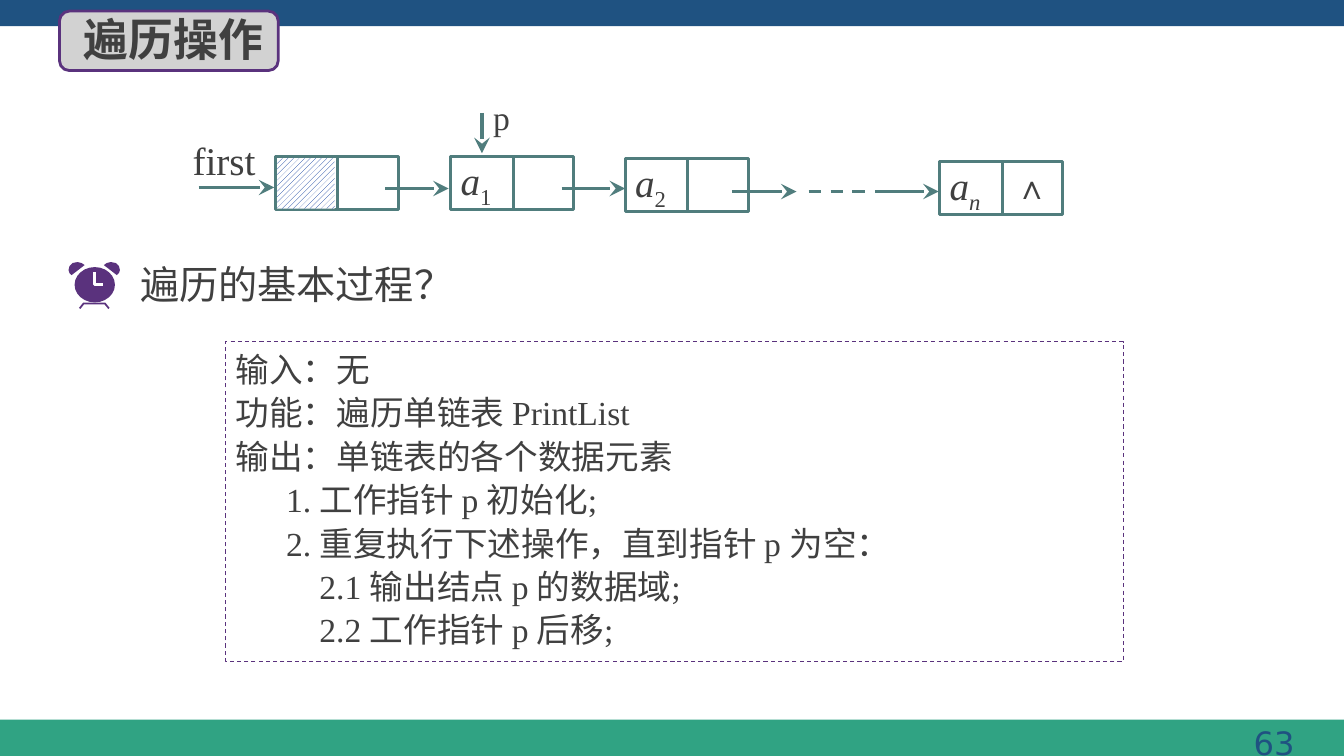
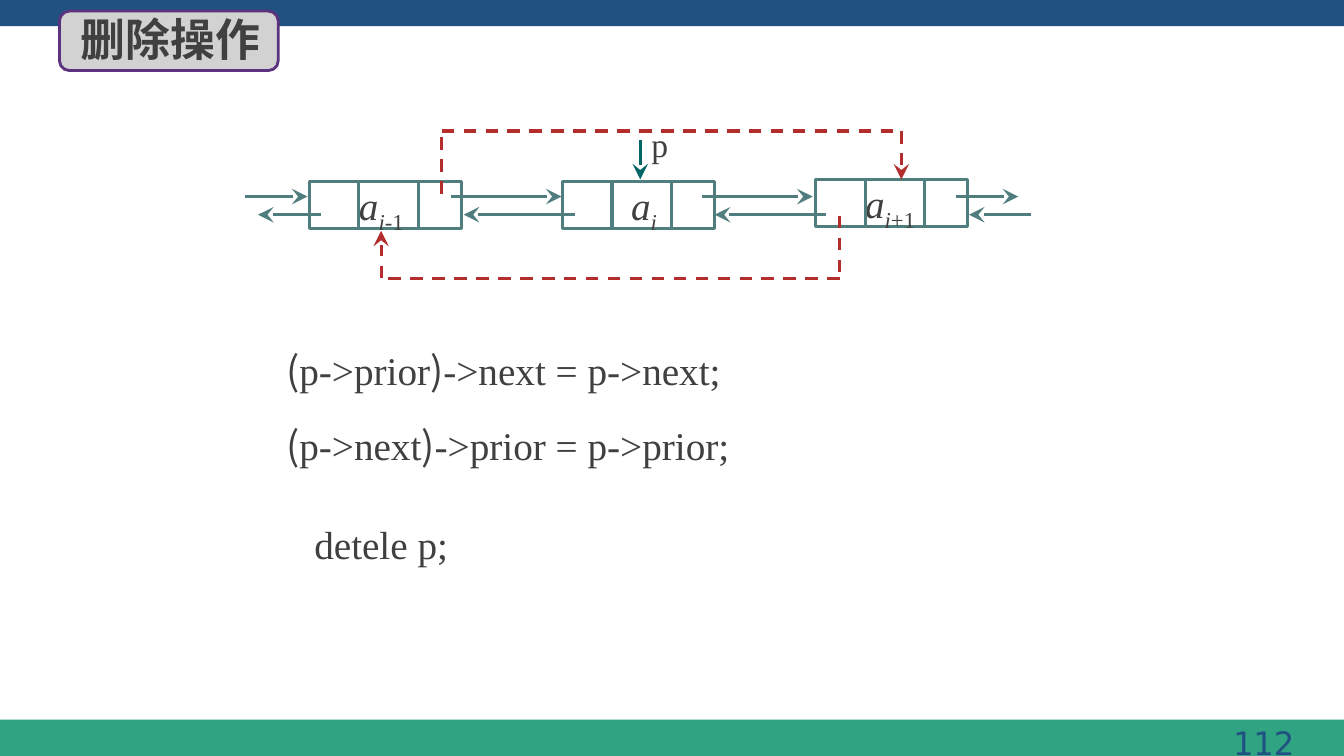
from lxml import etree
from pptx import Presentation
from pptx.dml.color import RGBColor
from pptx.enum import dml, shapes, text
from pptx.oxml.ns import qn
from pptx.util import Inches, Pt

# Shared look
NAVY = RGBColor(0x1F, 0x52, 0x81)
GREEN = RGBColor(0x30, 0xA3, 0x83)
TEAL = RGBColor(0x50, 0x7D, 0x7D)
DARK_TEAL = RGBColor(0x00, 0x66, 0x66)
RED = RGBColor(0xB4, 0x2D, 0x2D)
PURPLE = RGBColor(0x5A, 0x32, 0x7D)
GRAY = RGBColor(0xD2, 0xD2, 0xD2)
INK = RGBColor(0x40, 0x40, 0x40)
HATCH = RGBColor(0x00, 0x33, 0x99)
WHITE = RGBColor(0xFF, 0xFF, 0xFF)
SERIF, SANS, NUMBER = "Times New Roman", "Noto Sans CJK SC", "DejaVu Sans"
DASH = dml.MSO_LINE.DASH
RECTANGLE = shapes.MSO_SHAPE.RECTANGLE
TOP, MIDDLE = text.MSO_ANCHOR.TOP, text.MSO_ANCHOR.MIDDLE
BOX_INSETS = (0.1, 0.05, 0.1, 0.05)

# Traversal slide: left, top, text of each node; then from, to of each arrow
NODE_SIZE, NODE_DIVIDER = (1.22, 0.53), 0.62
LIST_NODES = [
    (2.73, 1.55, []),
    (4.47, 1.55, [("a", "i"), ("1", "s")]),
    (6.2, 1.57, [("a", "i"), ("2", "s")]),
    (9.32, 1.6, [("a", "i"), ("n", "is")]),
]
LIST_ARROWS = [
    ((1.97, 1.86), (2.72, 1.86)),
    ((3.82, 1.87), (4.45, 1.87)),
    ((5.57, 1.87), (6.2, 1.87)),
    ((7.26, 1.9), (7.9, 1.9)),
    ((8.68, 1.9), (9.31, 1.9)),
    ((4.78, 1.12), (4.78, 1.52)),
]
STEPS = [  # left indent, text
    (0, "输入：无"),
    (0, "功能：遍历单链表 PrintList"),
    (0, "输出：单链表的各个数据元素"),
    (0.5, "1. 工作指针 p 初始化;"),
    (0.5, "2. 重复执行下述操作，直到指针 p 为空："),
    (0.83, "2.1 输出结点 p 的数据域;"),
    (0.83, "2.2 工作指针 p 后移;"),
]

# Deletion slide: left, top, text indent, text of each node
DOUBLE_SIZE, DOUBLE_DIVIDERS = (1.51, 0.47), (0.49, 1.08)
DOUBLE_NODES = [
    (3.07, 1.8, 0.49, [("a", "i"), ("i", "is"), ("-1", "s")]),
    (5.58, 1.8, 0.68, [("a", "i"), ("i", "is")]),
    (8.09, 1.78, 0.49, [("a", "i"), ("i", "is"), ("+1", "s")]),
]
NEXT_Y, PRIOR_Y = 1.95, 2.13
NEXT_SPANS = [(2.43, 3.05), (4.47, 5.57), (6.96, 8.06), (9.48, 10.1)]
PRIOR_SPANS = [(3.18, 2.56), (5.7, 4.6), (8.19, 7.09), (10.23, 9.61)]
BYPASSES = [
    [(4.38, 1.92), (4.38, 1.3), (8.94, 1.3), (8.94, 1.78)],
    [(8.33, 2.14), (8.33, 2.76), (3.78, 2.76), (3.78, 2.29)],
]
CODE_LINES = [  # left, top, width, text; "p" marks the sans brackets
    (2.74, 3.38, 7, [("(", "p"), ("p->prior", ""), (")", "p"), ("->next = p->next;", "")]),
    (2.74, 4.13, 6.5, [("(", "p"), ("p->next", ""), (")", "p"), ("->prior = p->prior;", "")]),
    (3.02, 5.11, 1.84, [("detele p;", "")]),
]

# Clock icon outlines
CLOCK_AXIS = 0.935
EAR = [(0.71, 2.73), (0.69, 2.71), (0.68, 2.68), (0.69, 2.64), (0.72, 2.61),
       (0.77, 2.6), (0.81, 2.61), (0.84, 2.63)]
LEGS = [(0.79, 3.06), (0.83, 3.01), (1.04, 3.01), (1.08, 3.06)]
HANDS = [(0.94, 2.7), (0.94, 2.82), (1.02, 2.82)]


def inches(values):
    return [Inches(value) for value in values]


def style_font(paragraph, size, name, color=INK, bold=False, east_asian=None):
    font = paragraph.font
    font.size, font.name, font.bold = Pt(size), name, bold
    font.color.rgb = color
    typeface = etree.Element(qn("a:ea"), typeface=east_asian or name)
    font._rPr.find(qn("a:latin")).addnext(typeface)


def set_frame(shape, insets=BOX_INSETS, anchor=MIDDLE, wrap=True):
    frame = shape.text_frame
    frame.word_wrap, frame.auto_size = wrap, text.MSO_AUTO_SIZE.NONE
    frame.vertical_anchor = anchor
    (frame.margin_left, frame.margin_top,
     frame.margin_right, frame.margin_bottom) = inches(insets)
    return frame


def write_runs(paragraph, runs, size=28, name=SERIF, color=INK, east_asian=None):
    """Flags: i italic, s subscript, p sans bracket."""
    paragraph.alignment = text.PP_ALIGN.LEFT
    style_font(paragraph, size, name, color, east_asian=east_asian)
    for content, flags in runs:
        run = paragraph.add_run()
        run.text = content
        if "i" in flags:
            run.font.italic = True
        if "s" in flags:
            run.font._rPr.set("baseline", "-25000")
        if "p" in flags:
            run.font.name = SANS


def add_label(slide, box, runs, size=28, name=SERIF, color=INK, **frame_options):
    label = slide.shapes.add_textbox(*inches(box))
    paragraph = set_frame(label, **frame_options).paragraphs[0]
    write_runs(paragraph, runs, size, name, color)
    return paragraph


def paint(shape, fill=None, line=None, width=2.25):
    shape.shadow.inherit = False
    if fill is None:
        shape.fill.background()
    else:
        shape.fill.solid()
        shape.fill.fore_color.rgb = fill
    if line is None:
        shape.line.fill.background()
    else:
        shape.line.color.rgb, shape.line.width = line, Pt(width)
    return shape


def add_box(slide, kind, box, **colors):
    return paint(slide.shapes.add_shape(kind, *inches(box)), **colors)


def add_line(slide, start, end, color=TEAL, arrow=False, dashed=False):
    line = slide.shapes.add_connector(
        shapes.MSO_CONNECTOR.STRAIGHT, *inches(start + end))
    line.line.color.rgb, line.line.width = color, Pt(2.25)
    if dashed:
        line.line.dash_style = DASH
    if arrow:
        etree.SubElement(line.line._get_or_add_ln(), qn("a:tailEnd"),
                         type="stealth", w="lg", len="lg")
    etree.SubElement(line._element.spPr, qn("a:effectLst"))


def add_outline(slide, points, close, **colors):
    first, *rest = [tuple(inches(point)) for point in points]
    builder = slide.shapes.build_freeform(*first)
    builder.add_line_segments(rest, close=close)
    return paint(builder.convert_to_shape(), **colors)


def add_node(slide, left, top, size, dividers, indent, runs):
    width, height = size
    node = add_box(slide, RECTANGLE, (left, top, width, height), line=TEAL)
    if runs:
        frame = set_frame(node, (indent, 0, 0, 0), TOP)
        write_runs(frame.paragraphs[0], runs)
    for offset in dividers:
        x = left + offset
        add_line(slide, (x, top), (x, top + height - 0.01))


def add_clock(slide):
    add_outline(slide, LEGS, False, line=PURPLE, width=1.25)
    mirrored = [(2 * CLOCK_AXIS - x, y) for x, y in EAR]
    for ear in (EAR, mirrored):
        add_outline(slide, ear, True, fill=PURPLE)
    add_box(slide, shapes.MSO_SHAPE.OVAL, (0.74, 2.65, 0.4, 0.35), fill=PURPLE)
    add_outline(slide, HANDS, False, line=WHITE, width=2)


def add_base_slide(presentation, title, title_left, number):
    slide = presentation.slides.add_slide(presentation.slide_layouts[5])
    # Bands and slide number
    add_box(slide, RECTANGLE, (0, 7.14, 13.33, 0.36), fill=GREEN)
    add_box(slide, RECTANGLE, (0, 0, 13.33, 0.26), fill=NAVY)
    paragraph = add_label(slide, (10.03, 7.11, 2.94, 0.52), [(number, "")], 23, NUMBER,
                          NAVY, insets=(0.13, 0.06, 0.13, 0.06))
    paragraph.alignment = text.PP_ALIGN.RIGHT
    # Title on its badge
    add_box(slide, shapes.MSO_SHAPE.ROUNDED_RECTANGLE, (0.59, 0.11, 2.17, 0.59),
            fill=GRAY, line=PURPLE, width=2)
    heading = slide.shapes.title
    slide.shapes._spTree.append(heading._element)
    heading.left, heading.top, heading.width, heading.height = inches(
        (title_left, 0.06, 2.1, 0.64))
    paragraph = set_frame(heading).paragraphs[0]
    paragraph.text = title
    paragraph.alignment = text.PP_ALIGN.LEFT
    style_font(paragraph, 32, SANS, bold=True)
    return slide


def build_traversal(presentation):
    slide = add_base_slide(presentation, "遍历操作", 0.73, "63")
    # Linked list
    for left, top, runs in LIST_NODES:
        add_node(slide, left, top, NODE_SIZE, [NODE_DIVIDER], 0.1, runs)
    head = add_box(slide, RECTANGLE, (2.75, 1.57, 0.57, 0.5))
    head.fill.patterned()
    head.fill.pattern = dml.MSO_PATTERN.WIDE_UPWARD_DIAGONAL
    head.fill.fore_color.rgb, head.fill.back_color.rgb = HATCH, WHITE
    for start, end in LIST_ARROWS:
        add_line(slide, start, end, arrow=True)
    add_line(slide, (8.02, 1.9), (8.64, 1.9), dashed=True)
    bare = {"insets": (0, 0, 0, 0), "anchor": TOP, "wrap": False}
    add_label(slide, (1.91, 1.35, 0.83, 0.51), [("first", "")], **bare)
    add_label(slide, (4.89, 0.96, 0.27, 0.4), [("p", "")], 24, **bare)
    add_label(slide, (9.97, 1.6, 0.57, 0.49), [("∧", "")], 24, anchor=TOP, wrap=False)
    # Question
    add_clock(slide)
    add_label(slide, (1.29, 2.53, 4.91, 0.57), [("遍历的基本过程？", "")], name=SANS)
    # Algorithm
    panel = add_box(slide, RECTANGLE, (2.24, 3.39, 8.9, 3.17), line=PURPLE, width=0.75)
    panel.line.dash_style = DASH
    frame = set_frame(panel, (0.1, 0.04, 0.1, 0.04), TOP)
    for index, (indent, content) in enumerate(STEPS):
        paragraph = frame.add_paragraph() if index else frame.paragraphs[0]
        paragraph._p.get_or_add_pPr().set("marL", str(Inches(indent)))
        paragraph.line_spacing = Pt(31)
        write_runs(paragraph, [(content, "")], 24, east_asian=SANS)


def build_deletion(presentation):
    slide = add_base_slide(presentation, "删除操作", 0.7, "112")
    # Doubly linked list
    for left, top, indent, runs in DOUBLE_NODES:
        add_node(slide, left, top, DOUBLE_SIZE, DOUBLE_DIVIDERS, indent, runs)
    for y, spans in ((NEXT_Y, NEXT_SPANS), (PRIOR_Y, PRIOR_SPANS)):
        for start, end in spans:
            add_line(slide, (start, y), (end, y), arrow=True)
    add_line(slide, (6.35, 1.39), (6.35, 1.78), DARK_TEAL, arrow=True)
    add_label(slide, (6.46, 1.23, 0.27, 0.4), [("p", "")], 24,
              insets=(0, 0, 0, 0), anchor=TOP, wrap=False)
    # Links that bypass the deleted node
    for corners in BYPASSES:
        for start, end in zip(corners, corners[1:]):
            add_line(slide, start, end, RED, arrow=end == corners[-1], dashed=True)
    # Code
    for left, top, width, runs in CODE_LINES:
        add_label(slide, (left, top, width, 0.57), runs)


def main():
    presentation = Presentation()
    presentation.slide_width, presentation.slide_height = inches((13.33, 7.5))
    build_traversal(presentation)
    build_deletion(presentation)
    presentation.save("out.pptx")


if __name__ == "__main__":
    main()
